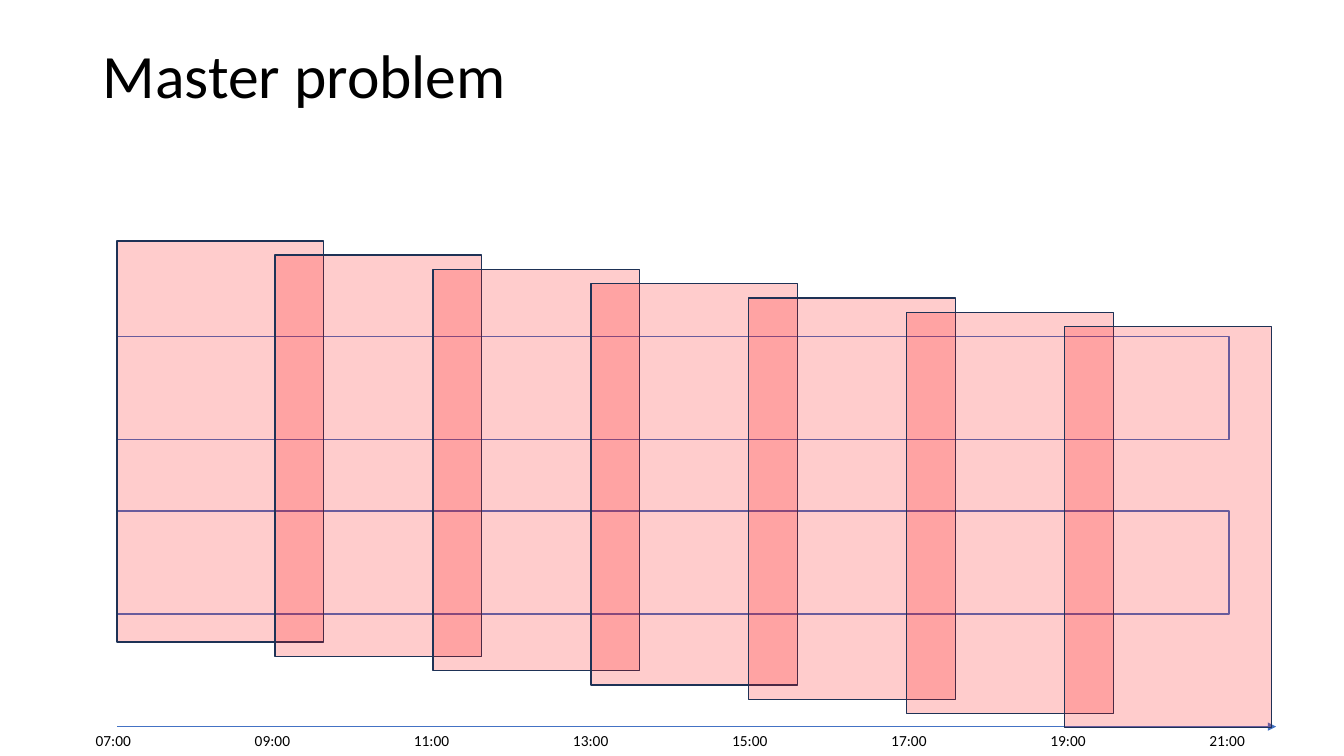
from lxml.etree import SubElement
from pptx import Presentation
from pptx.dml.color import RGBColor
from pptx.enum.shapes import MSO_CONNECTOR as Connector, MSO_SHAPE as Shape
from pptx.enum.text import MSO_ANCHOR as Anchor, MSO_AUTO_SIZE as AutoSize
from pptx.oxml.ns import qn
from pptx.util import Cm, Pt


def color(value):
    return RGBColor.from_string(value)


class SlideBuilder:
    font = "Calibri"
    ink = "000000"
    blue = "4472C4"
    navy = "1E3256"
    red = "FF0000"
    line_width = Pt(1)

    def __init__(self, slide):
        self.slide = slide

    def text(self, content, left, top, width, height, size, spacing=1.0, grow=False):
        box = self.slide.shapes.add_textbox(Cm(left), Cm(top), Cm(width), Cm(height))
        frame = box.text_frame
        frame.text = content
        frame.word_wrap = not grow
        frame.auto_size = AutoSize.SHAPE_TO_FIT_TEXT if grow else AutoSize.NONE
        frame.vertical_anchor = Anchor.TOP
        paragraph = frame.paragraphs[0]
        paragraph.line_spacing = spacing
        font = paragraph.runs[0].font
        font.name = self.font
        font.size = Pt(size)
        font.color.rgb = color(self.ink)

    def process(self, left, top, width, height, line, fill=None, opacity=100):
        shape = self.slide.shapes.add_shape(
            Shape.FLOWCHART_PROCESS, Cm(left), Cm(top), Cm(width), Cm(height))
        shape.shadow.inherit = False
        shape.line.color.rgb = color(line)
        shape.line.width = self.line_width
        if fill is None:
            shape.fill.background()
            return
        shape.fill.solid()
        shape.fill.fore_color.rgb = color(fill)
        fill_color = shape.fill._xPr.find(qn("a:solidFill"))[0]
        SubElement(fill_color, qn("a:alpha"), val=str(opacity * 1000))

    def arrow(self, left, right, y):
        connector = self.slide.shapes.add_connector(
            Connector.STRAIGHT, Cm(left), Cm(y), Cm(right), Cm(y))
        connector.line.color.rgb = color(self.blue)
        connector.line.width = self.line_width
        SubElement(connector.line._get_or_add_ln(), qn("a:tailEnd"), type="triangle")
        SubElement(connector._element.spPr, qn("a:effectLst"))


def main():
    presentation = Presentation()
    presentation.slide_width = Cm(33.87)
    presentation.slide_height = Cm(19.05)
    builder = SlideBuilder(presentation.slides.add_slide(presentation.slide_layouts[6]))

    start = 2.95
    axis_y = 18.31

    for top in (8.48, 12.88):
        builder.process(start, top, 28.02, 2.59, builder.blue)

    builder.arrow(start, 32.16, axis_y)
    for index, hour in enumerate(range(7, 22, 2)):
        builder.text(f"{hour:02}:00", 2.16 + 4.01 * index, axis_y, 1.55, 0.74, 11, grow=True)

    for index in range(7):
        builder.process(start + 3.98 * index, 6.07 + 0.36 * index, 5.21, 10.11,
                        builder.navy, builder.red, opacity=20)

    builder.text("Master problem", 2.34, 1.02, 29.21, 3.68, 44, spacing=0.9)

    presentation.save("out.pptx")


if __name__ == "__main__":
    main()
